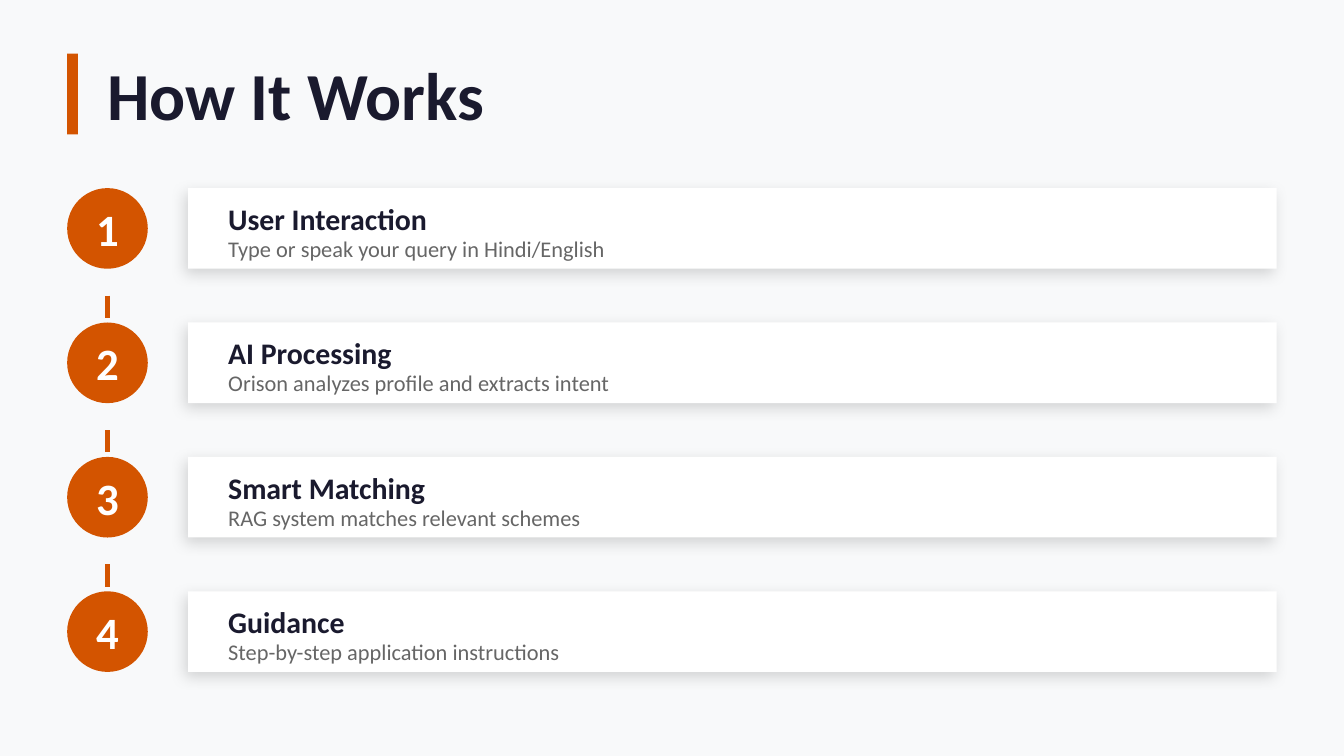
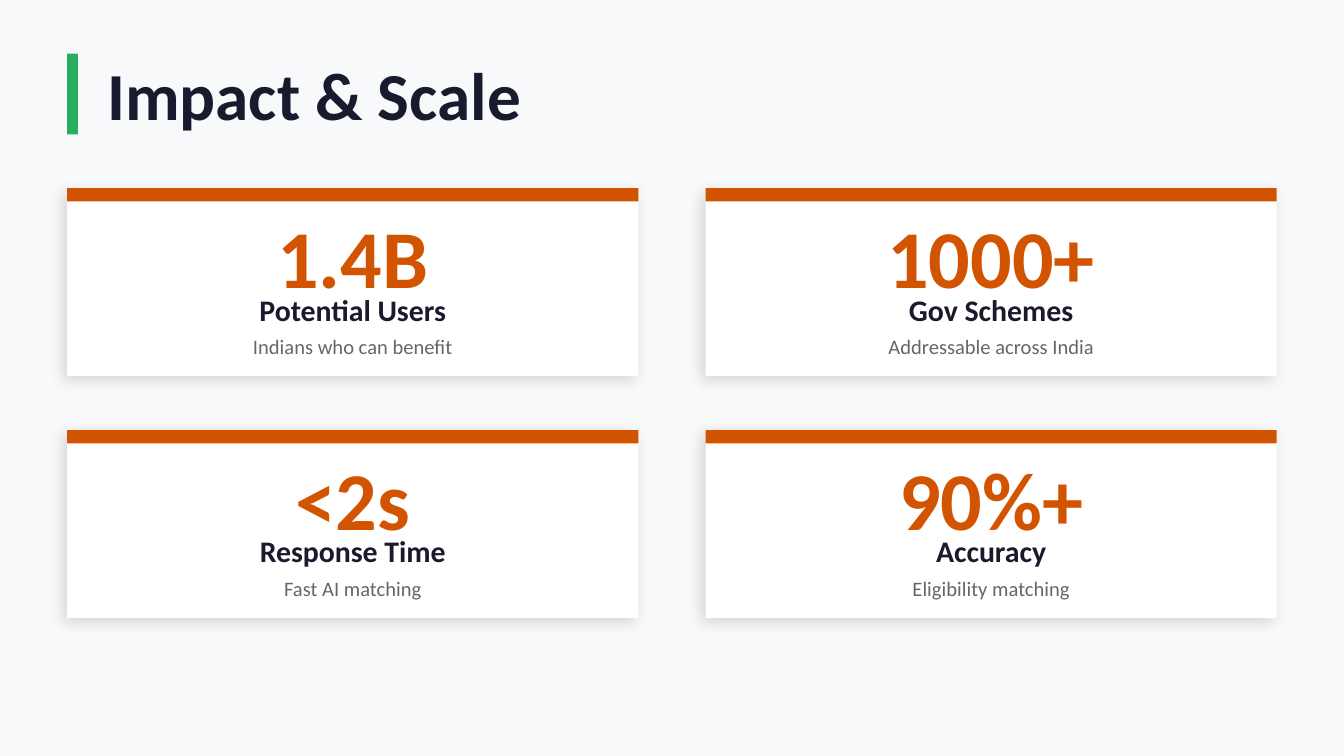
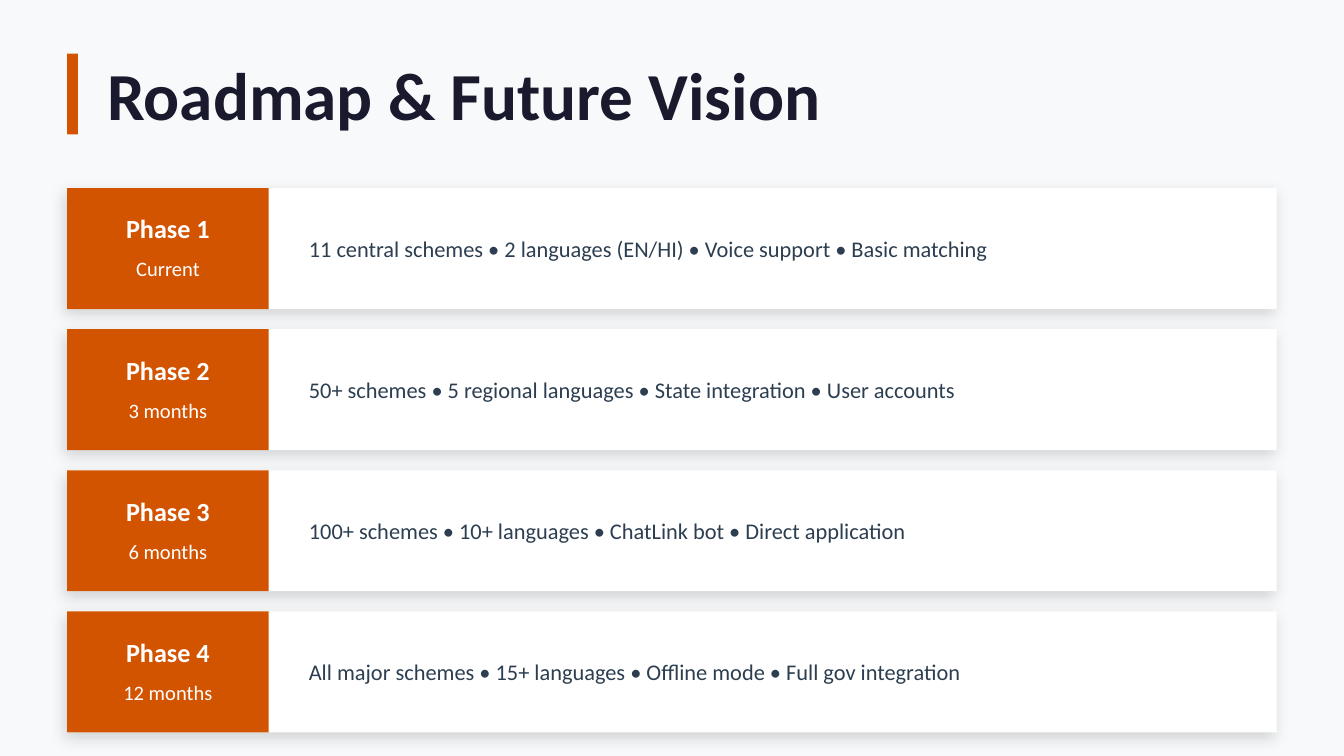
"""Build three slides: the process, its impact and the roadmap."""
from dataclasses import dataclass
from typing import NamedTuple

from lxml.etree import SubElement
from pptx import Presentation
from pptx.dml.color import RGBColor as Rgb
from pptx.enum.dml import MSO_LINE_DASH_STYLE as Dash
from pptx.enum.shapes import MSO_CONNECTOR as Connector
from pptx.enum.shapes import MSO_SHAPE as Preset
from pptx.enum.text import MSO_ANCHOR as Anchor
from pptx.enum.text import PP_ALIGN as Align
from pptx.oxml.ns import qn
from pptx.presentation import Presentation as Deck
from pptx.shapes.autoshape import Shape
from pptx.slide import Slide
from pptx.util import Emu, Inches, Pt

COLORS = {
    "background": "F8F9FA",
    "accent": "D35400",
    "growth": "27AE60",
    "card": "FFFFFF",
    "heading": "1A1A2E",
    "muted": "666666",
    "body": "2C3E50",
}
FONT = "Calibri"
CELL = Inches(0.1)
SLIDE_COLUMNS, SLIDE_ROWS = 100, 56.25
MARGIN, CONTENT_TOP = 5, 14
CONTENT_WIDTH = SLIDE_COLUMNS - 2 * MARGIN


class Area(NamedTuple):
    """A rectangle in grid columns and rows."""

    column: float
    row: float
    width: float
    height: float

    def inner(self, column: float, row: float, width: float, height: float) -> "Area":
        """Return an area placed relative to this one's top left corner."""
        return Area(self.column + column, self.row + row, width, height)


class TextStyle(NamedTuple):
    """The look of a line of text."""

    size: float
    color: str
    bold: bool = False
    align: Align = Align.LEFT


TITLE = TextStyle(36, "heading", True)
STEP_NUMBER = TextStyle(24, "card", True, Align.CENTER)
STEP_NAME = TextStyle(16, "heading", True)
STEP_DETAIL = TextStyle(12, "muted")
METRIC_VALUE = TextStyle(44, "accent", True, Align.CENTER)
METRIC_NAME = TextStyle(16, "heading", True, Align.CENTER)
METRIC_DETAIL = TextStyle(11, "muted", False, Align.CENTER)
PHASE_NAME = TextStyle(14, "card", True, Align.CENTER)
PHASE_TIME = TextStyle(11, "card", False, Align.CENTER)
PHASE_GOALS = TextStyle(12, "body")


@dataclass(frozen=True)
class Step:
    """One step of the process."""

    name: str
    detail: str


@dataclass(frozen=True)
class Metric:
    """One figure on the impact slide."""

    value: str
    name: str
    detail: str


@dataclass(frozen=True)
class Phase:
    """One phase of the roadmap."""

    time: str
    goals: tuple[str, ...]


STEPS = (
    Step("User Interaction", "Type or speak your query in Hindi/English"),
    Step("AI Processing", "Orison analyzes profile and extracts intent"),
    Step("Smart Matching", "RAG system matches relevant schemes"),
    Step("Guidance", "Step-by-step application instructions"),
)
METRICS = (
    Metric("1.4B", "Potential Users", "Indians who can benefit"),
    Metric("1000+", "Gov Schemes", "Addressable across India"),
    Metric("<2s", "Response Time", "Fast AI matching"),
    Metric("90%+", "Accuracy", "Eligibility matching"),
)
PHASES = (
    Phase("Current", ("11 central schemes", "2 languages (EN/HI)", "Voice support", "Basic matching")),
    Phase("3 months", ("50+ schemes", "5 regional languages", "State integration", "User accounts")),
    Phase("6 months", ("100+ schemes", "10+ languages", "ChatLink bot", "Direct application")),
    Phase("12 months", ("All major schemes", "15+ languages", "Offline mode", "Full gov integration")),
)


def cells(count: float) -> Emu:
    """Convert a number of grid cells to a length."""
    return Emu(round(count * CELL))


def rgb(name: str) -> Rgb:
    """Look up a palette colour."""
    return Rgb.from_string(COLORS[name])


def add_block(slide: Slide, area: Area, color: str, preset: Preset = Preset.RECTANGLE) -> Shape:
    """Draw a flat, filled shape without an outline."""
    shape = slide.shapes.add_shape(preset, *map(cells, area))
    shape.shadow.inherit = False
    shape.fill.solid()
    shape.fill.fore_color.rgb = rgb(color)
    shape.line.fill.background()
    return shape


def add_card(slide: Slide, area: Area) -> None:
    """Draw a white card with a soft shadow to the lower left."""
    card = add_block(slide, area, "card")
    effects = card.element.spPr.find(qn("a:effectLst"))
    shadow = SubElement(effects, qn("a:outerShdw"), blurRad=str(Pt(8)), dist=str(Pt(3)),
                        dir=str(135 * 60000), algn="bl", rotWithShape="0")
    color = SubElement(shadow, qn("a:srgbClr"), val="000000")
    SubElement(color, qn("a:alpha"), val="15000")


def add_text(slide: Slide, area: Area, text: str, style: TextStyle) -> None:
    """Write one vertically centred line of text."""
    frame = slide.shapes.add_textbox(*map(cells, area)).text_frame
    frame.word_wrap = True
    frame.vertical_anchor = Anchor.MIDDLE
    paragraph = frame.paragraphs[0]
    paragraph.alignment = style.align
    run = paragraph.add_run()
    run.text = text
    run.font.name = FONT
    run.font.size = Pt(style.size)
    run.font.bold = style.bold
    run.font.color.rgb = rgb(style.color)


def add_dashed_link(slide: Slide, column: float, top: float, bottom: float) -> None:
    """Draw a vertical dashed line between two steps."""
    ends = map(cells, (column, top, column, bottom))
    link = slide.shapes.add_connector(Connector.STRAIGHT, *ends)
    link.line.color.rgb = rgb("accent")
    link.line.width = Pt(3)
    link.line.dash_style = Dash.DASH
    SubElement(link.element.spPr, qn("a:effectLst"))


def add_titled_slide(presentation: Deck, title: str, bar_color: str = "accent") -> Slide:
    """Add a blank slide with the shared background and title bar."""
    slide = presentation.slides.add_slide(presentation.slide_layouts[6])
    slide.background.fill.solid()
    slide.background.fill.fore_color.rgb = rgb("background")
    add_block(slide, Area(MARGIN, 4, 0.8, 6), bar_color)
    add_text(slide, Area(MARGIN + 2, 4, CONTENT_WIDTH - 2, 6), title, TITLE)
    return slide


def add_step(slide: Slide, index: int, step: Step) -> None:
    """Draw a numbered step, its card and the link to the next step."""
    pitch, size = 10, 6
    badge = Area(MARGIN, CONTENT_TOP + index * pitch, size, size)
    card = badge.inner(9, 0, CONTENT_WIDTH - 9, size)
    add_block(slide, badge, "accent", Preset.OVAL)
    add_text(slide, badge, str(index + 1), STEP_NUMBER)
    if index < len(STEPS) - 1:
        link_top = badge.row + size + 2
        add_dashed_link(slide, badge.column + size / 2, link_top, link_top + 4)
    add_card(slide, card)
    add_text(slide, card.inner(2, 1, 30, 2.5), step.name, STEP_NAME)
    add_text(slide, card.inner(2, 3.5, card.width - 4, 2), step.detail, STEP_DETAIL)


def add_metric(slide: Slide, index: int, metric: Metric) -> None:
    """Draw a figure card in a grid of two columns."""
    gap, height = 5, 14
    width = (CONTENT_WIDTH - gap) / 2
    line, place = divmod(index, 2)
    card = Area(MARGIN + place * (width + gap), CONTENT_TOP + line * (height + 4), width, height)
    add_card(slide, card)
    add_block(slide, card.inner(0, 0, width, 1), "accent")
    add_text(slide, card.inner(0, 2.5, width, 5), metric.value, METRIC_VALUE)
    add_text(slide, card.inner(0, 7.5, width, 3), metric.name, METRIC_NAME)
    add_text(slide, card.inner(0, 10.5, width, 2.5), metric.detail, METRIC_DETAIL)


def add_phase(slide: Slide, index: int, phase: Phase) -> None:
    """Draw a roadmap row with its phase label and goals."""
    height, gap, label_width = 9, 1.5, 15
    card = Area(MARGIN, CONTENT_TOP + index * (height + gap), CONTENT_WIDTH, height)
    add_card(slide, card)
    add_block(slide, card.inner(0, 0, label_width, height), "accent")
    add_text(slide, card.inner(0, 1.5, label_width, 3), f"Phase {index + 1}", PHASE_NAME)
    add_text(slide, card.inner(0, 4.5, label_width, 3), phase.time, PHASE_TIME)
    goals = card.inner(label_width + 2, 2, CONTENT_WIDTH - label_width - 4, 5)
    add_text(slide, goals, " • ".join(phase.goals), PHASE_GOALS)


def main() -> None:
    """Build and save the presentation."""
    presentation = Presentation()
    presentation.slide_width = cells(SLIDE_COLUMNS)
    presentation.slide_height = cells(SLIDE_ROWS)
    sections = (
        ("How It Works", "accent", STEPS, add_step),
        ("Impact & Scale", "growth", METRICS, add_metric),
        ("Roadmap & Future Vision", "accent", PHASES, add_phase),
    )
    for title, bar_color, items, add_item in sections:
        slide = add_titled_slide(presentation, title, bar_color)
        for index, item in enumerate(items):
            add_item(slide, index, item)
    presentation.save("out.pptx")


if __name__ == "__main__":
    main()
